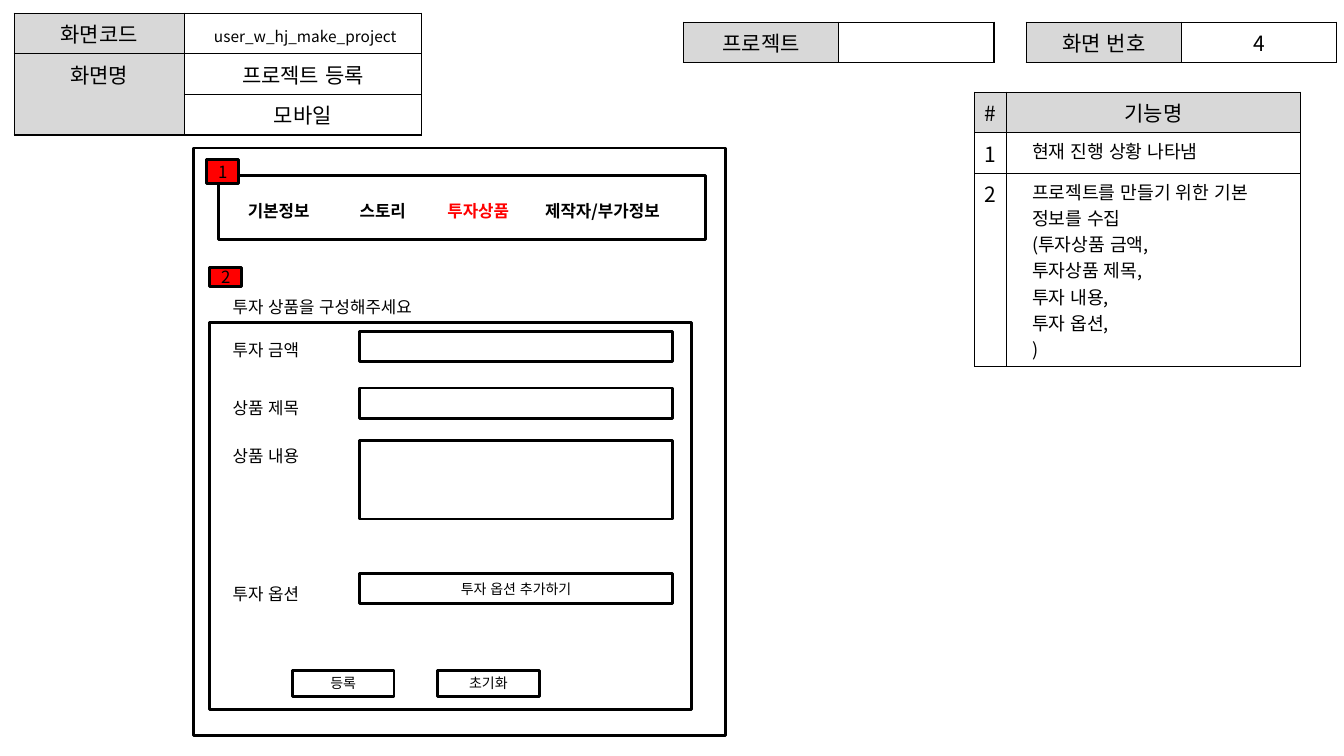
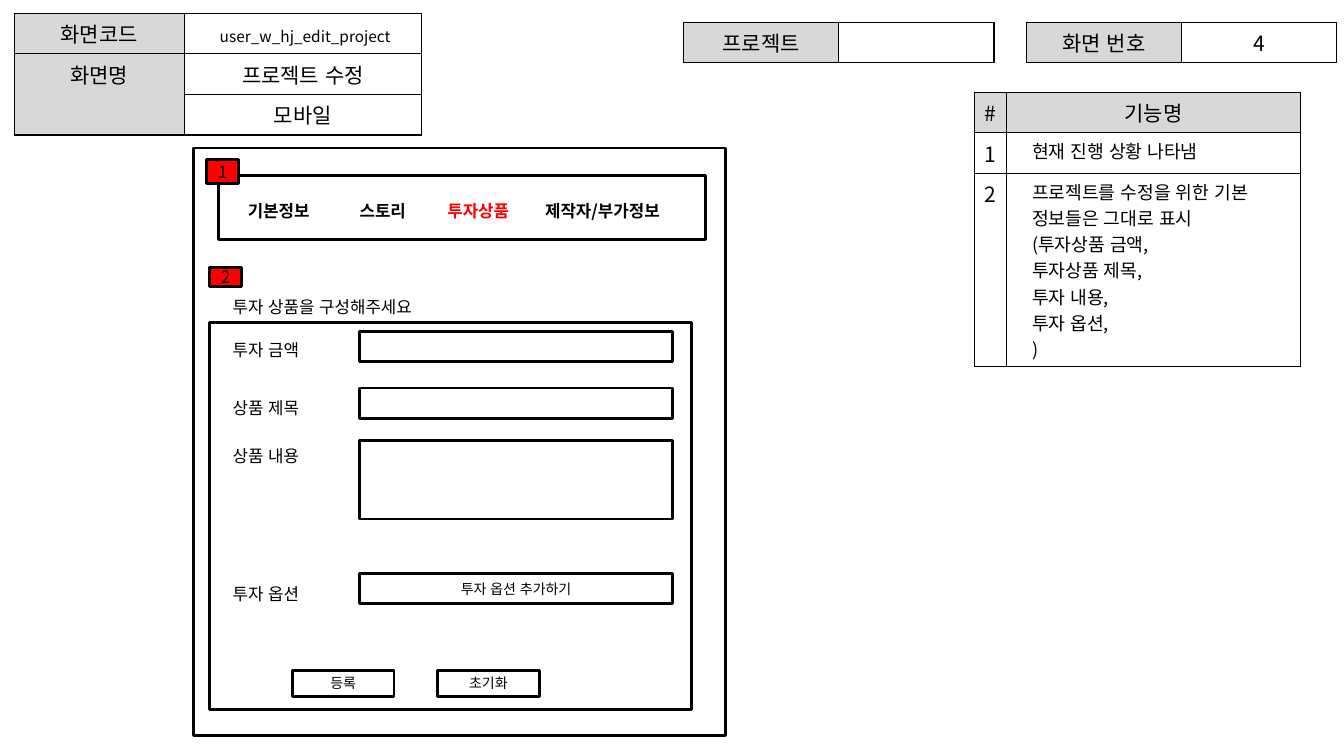
from lxml.etree import SubElement
from pptx import Presentation
from pptx.dml.color import RGBColor
from pptx.enum.lang import MSO_LANGUAGE_ID
from pptx.enum.shapes import MSO_SHAPE
from pptx.enum.text import MSO_ANCHOR, PP_ALIGN
from pptx.oxml.ns import qn
from pptx.util import Pt

BLACK = RGBColor(0x00, 0x00, 0x00)
WHITE = RGBColor(0xFF, 0xFF, 0xFF)
RED = RGBColor(0xFF, 0x00, 0x00)
GRAY = RGBColor(0xD8, 0xD8, 0xD8)

FONT = "Noto Sans CJK KR"
BORDER_WIDTH = Pt(0.96)
ROW_HEIGHT = 29
LINE_HEIGHT = 21.6

# Wireframe content: (label, left, width, colour)
TABS = [
    ("기본정보", 169.9, 93.6, BLACK),
    ("스토리", 249.8, 90.7, BLACK),
    ("투자상품", 312.5, 90.7, RED),
    ("제작자/부가정보", 382.3, 153.4, BLACK),
]
# (label, label top, input top, input height, input text)
FIELDS = [
    ("투자 금액", 239, 236.9, LINE_HEIGHT, ""),
    ("상품 제목", 280.8, 277.2, LINE_HEIGHT, ""),
    ("상품 내용", 314.6, 314.6, 56.2, ""),
    ("투자 옵션", 413.3, 409.7, LINE_HEIGHT, "투자 옵션 추가하기"),
]
BUTTONS = [("등록", 208.8), ("초기화", 312.5)]
COLLECTED_ITEMS = ["(투자상품 금액,", "투자상품 제목,", "투자 내용,", "투자 옵션,", ")"]

# What differs between the slides: (screen code, screen name, feature summary)
SCREENS = [
    ("user_w_hj_make_project", "프로젝트 등록", "프로젝트를 만들기 위한 기본 정보를 수집"),
    ("user_w_hj_edit_project", "프로젝트 수정", "프로젝트를 수정을 위한 기본 정보들은 그대로 표시"),
]


def write_text(text_frame, text, size=12, color=BLACK, bold=False, align=PP_ALIGN.LEFT):
    """Fill a text frame, one paragraph for each line of text."""
    text_frame.word_wrap = True
    for index, line in enumerate(text.split("\n")):
        paragraph = text_frame.paragraphs[0] if index == 0 else text_frame.add_paragraph()
        paragraph.alignment = align
        run = paragraph.add_run()
        run.text = line
        run.font.size = Pt(size)
        run.font.bold = bold
        run.font.color.rgb = color
        run.font.name = FONT
        run.font.language_id = MSO_LANGUAGE_ID.KOREAN
        SubElement(run.font._element, qn("a:ea"), typeface=FONT)


def add_label(shapes, text, left, top, width, **text_format):
    box = shapes.add_textbox(Pt(left), Pt(top), Pt(width), Pt(LINE_HEIGHT))
    write_text(box.text_frame, text, **text_format)


def add_box(shapes, left, top, width, height, text="", fill=None, size=10):
    """Outlined rectangle with optional centred text."""
    box = shapes.add_shape(MSO_SHAPE.RECTANGLE, Pt(left), Pt(top), Pt(width), Pt(height))
    box.shadow.inherit = False
    box.line.color.rgb = BLACK
    box.line.width = Pt(2)
    if fill is None:
        box.fill.background()
    else:
        box.fill.solid()
        box.fill.fore_color.rgb = fill
    if text:
        box.text_frame.vertical_anchor = MSO_ANCHOR.MIDDLE
        write_text(box.text_frame, text, size=size, align=PP_ALIGN.CENTER)


def add_marker(shapes, text, left, top, height):
    add_box(shapes, left, top, 23, height, text, fill=RED, size=12)


def set_borders(cell):
    properties = cell._tc.get_or_add_tcPr()
    for side in ("a:lnL", "a:lnR", "a:lnT", "a:lnB"):
        line = SubElement(properties, qn(side), w=str(BORDER_WIDTH))
        fill = SubElement(line, qn("a:solidFill"))
        SubElement(fill, qn("a:srgbClr"), val=str(BLACK))


def format_cell(cell, text, fill, size=15, align=PP_ALIGN.CENTER, left=7.2, top=3.6):
    set_borders(cell)
    cell.fill.solid()
    cell.fill.fore_color.rgb = fill
    cell.margin_left = Pt(left)
    if text:
        cell.margin_top = Pt(top)
        write_text(cell.text_frame, text, size=size, align=align)
    else:
        # An empty cell must not stretch its row
        cell.margin_top = cell.margin_bottom = 0


def add_grid(slide, left, top, widths, heights, rows, is_header, formats=None):
    """Table whose header cells are gray; formats holds exceptions by cell."""
    frame = slide.shapes.add_table(
        len(heights), len(widths), Pt(left), Pt(top), Pt(sum(widths)), Pt(sum(heights)))
    table = frame.table
    for column, width in zip(table.columns, widths):
        column.width = Pt(width)
    for row, height in zip(table.rows, heights):
        row.height = Pt(height)
    for row_index, row in enumerate(rows):
        for column_index, text in enumerate(row):
            position = (row_index, column_index)
            fill = GRAY if is_header(*position) else WHITE
            format_cell(table.cell(*position), text, fill, **(formats or {}).get(position, {}))
    return table


def first_column(row, column):
    return column == 0


def first_row(row, column):
    return row == 0


def add_header_tables(slide, code, name):
    table = add_grid(
        slide, 10.1, 9.4, [121.7, 169.2], [ROW_HEIGHT] * 3,
        [["화면코드", code], ["화면명", name], ["", "모바일"]],
        first_column, {(0, 1): {"size": 11, "top": 8.2, "left": 10.6}})
    table.cell(1, 0).merge(table.cell(2, 0))
    for left, label, value in [(733, "화면 번호", "4"), (488.2, "프로젝트", "")]:
        add_grid(slide, left, 15.8, [110.9] * 2, [ROW_HEIGHT], [[label, value]], first_column)


def add_feature_table(slide, summary):
    description = {"size": 13, "align": PP_ALIGN.LEFT, "left": 18}
    add_grid(
        slide, 696.2, 65.8, [23, 209.5], [ROW_HEIGHT, ROW_HEIGHT, 138.2],
        [["#", "기능명"],
         ["1", "현재 진행 상황 나타냄"],
         ["2", "\n".join([summary] + COLLECTED_ITEMS)]],
        first_row, {(1, 1): description, (2, 1): description})


def add_progress_tabs(slide):
    shapes = slide.shapes
    for text, left, width, color in TABS:
        add_label(shapes, text, left, 140, width, color=color, bold=True)
    add_box(shapes, 156.2, 125.6, 347.8, 45.4)
    add_marker(shapes, "1", 147.6, 113.8, 17.3)
    # Outer frame of the screen
    add_box(shapes, 138.2, 105.8, 380.2, 419.8)


def add_product_form(slide):
    shapes = slide.shapes.add_group_shape().shapes
    add_label(shapes, "투자 상품을 구성해주세요", 159.1, 208.1, 236.9)
    add_marker(shapes, "2", 149.8, 190.8, 13.7)
    for label, label_top, input_top, input_height, input_text in FIELDS:
        add_label(shapes, label, 159.1, label_top, 98)
        add_box(shapes, 257, input_top, 223.2, input_height, input_text)
    for text, left in BUTTONS:
        add_box(shapes, left, 478.8, 72.7, 18.7, text)
    # Panel around the fields
    add_box(shapes, 149.8, 230.4, 344.2, 276.5)


def main():
    presentation = Presentation()
    presentation.slide_width = Pt(960)
    presentation.slide_height = Pt(540)
    blank_layout = presentation.slide_layouts[6]
    for code, name, summary in SCREENS:
        slide = presentation.slides.add_slide(blank_layout)
        add_header_tables(slide, code, name)
        add_progress_tabs(slide)
        add_feature_table(slide, summary)
        add_product_form(slide)
    presentation.save("out.pptx")


if __name__ == "__main__":
    main()
